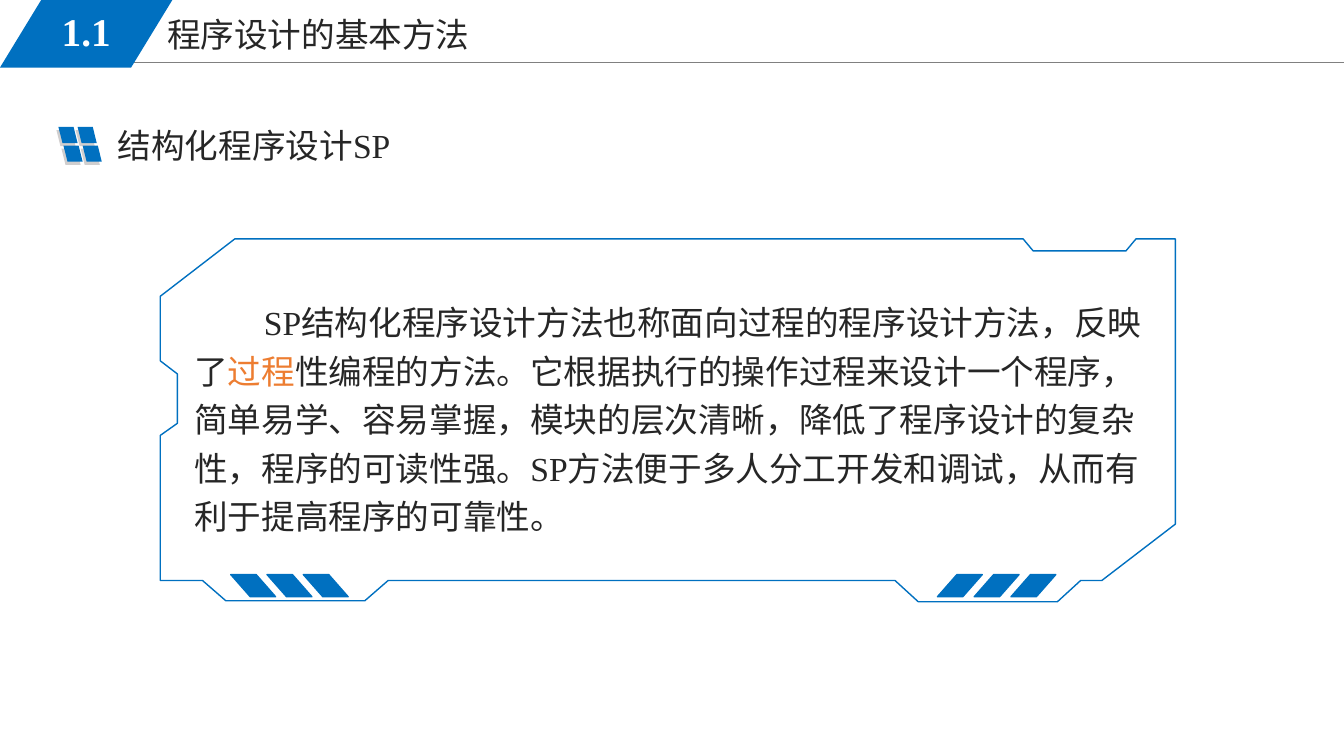
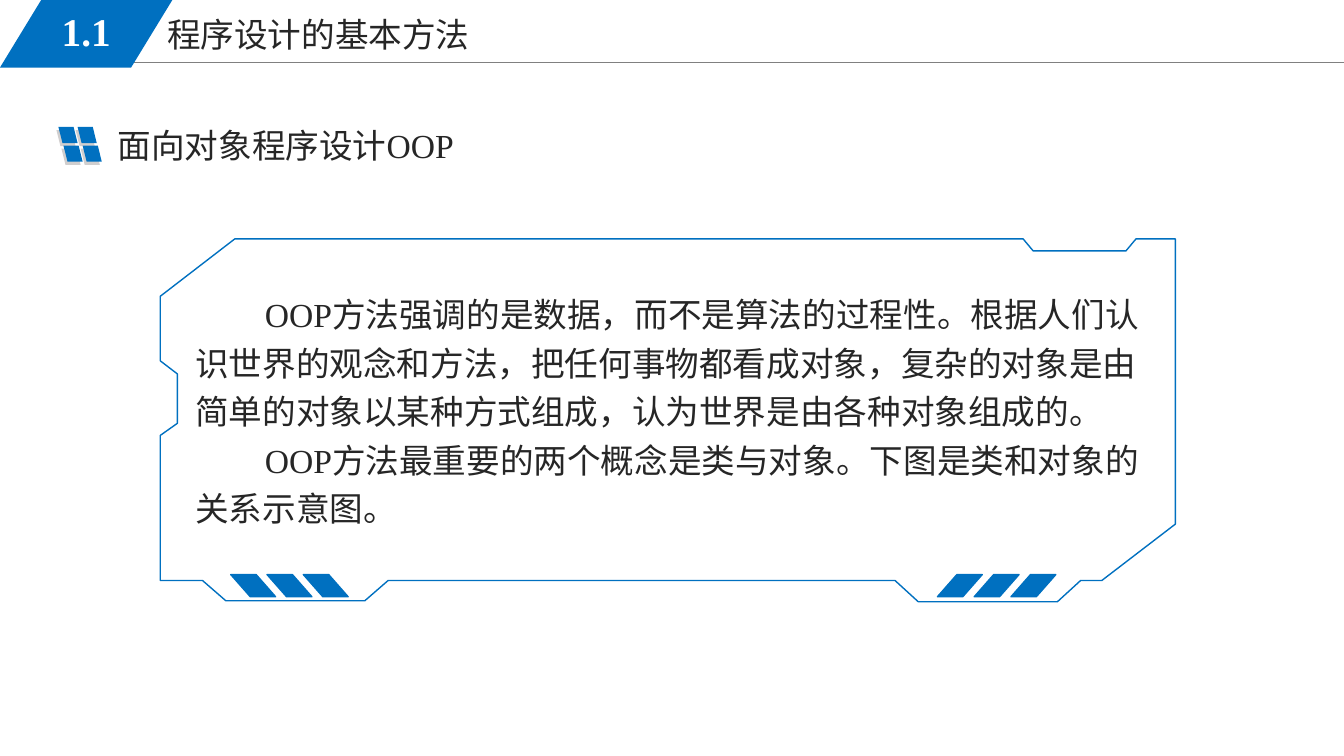
from dataclasses import dataclass
from typing import NamedTuple

from lxml import etree
from pptx import Presentation
from pptx.dml.color import RGBColor
from pptx.enum.shapes import MSO_CONNECTOR, MSO_SHAPE
from pptx.enum.text import MSO_ANCHOR, MSO_AUTO_SIZE, PP_ALIGN
from pptx.oxml.ns import qn
from pptx.util import Emu, Inches, Pt

PARALLELOGRAM = MSO_SHAPE.PARALLELOGRAM
STRAIGHT = MSO_CONNECTOR.STRAIGHT
TOP, MIDDLE = MSO_ANCHOR.TOP, MSO_ANCHOR.MIDDLE
LEFT, CENTER = PP_ALIGN.LEFT, PP_ALIGN.CENTER
GROW = MSO_AUTO_SIZE.SHAPE_TO_FIT_TEXT

# The slide is a grid of square cells, 0.1 inch each.
COLUMNS, ROWS = 133.33, 75


@dataclass(frozen=True)
class Theme:
    blue: RGBColor = RGBColor(0x00, 0x70, 0xC0)
    grey: RGBColor = RGBColor(0xD0, 0xCE, 0xCE)
    rule: RGBColor = RGBColor(0x80, 0x80, 0x80)
    ink: RGBColor = RGBColor(0x26, 0x26, 0x26)
    accent: RGBColor = RGBColor(0xED, 0x7D, 0x31)
    white: RGBColor = RGBColor(0xFF, 0xFF, 0xFF)
    latin: str = "Times New Roman"
    chinese: str = "Noto Sans CJK SC"
    text_size: Pt = Pt(24)
    number_size: Pt = Pt(28)
    rule_width: Pt = Pt(0.75)
    outline_width: Pt = Pt(1)


THEME = Theme()


class Area(NamedTuple):
    """Left, top, width and height in grid cells."""
    column: float
    row: float
    columns: float
    rows: float


class Span(NamedTuple):
    text: str
    color: RGBColor = THEME.ink


@dataclass(frozen=True)
class Style:
    size: Pt = THEME.text_size
    latin: str = THEME.latin
    bold: bool = False
    align: PP_ALIGN = LEFT
    anchor: MSO_ANCHOR = TOP
    line_spacing: float = 1.0
    indent: float = 0


@dataclass(frozen=True)
class Stripes:
    column: float
    step: float
    mirrored: bool


@dataclass(frozen=True)
class Topic:
    heading: str
    body_area: Area
    paragraphs: list[list[Span]]


HEADING = Style()
SECTION = Style(latin=THEME.chinese)
NUMBER = Style(size=THEME.number_size, bold=True, align=CENTER, anchor=MIDDLE)
BODY = Style(line_spacing=1.2, indent=6.9)

STRIPE_GROUPS = [Stripes(93, 3.65, False), Stripes(22.9, 3.6, True)]
PANEL_CORNERS = [
    (91.1, 59.7), (104.9, 59.7), (107.2, 57.6), (109.3, 57.6), (116.6, 52),
    (116.6, 23.7), (112.7, 23.7), (111.7, 24.9), (102.5, 24.9), (101.5, 23.7),
    (23.3, 23.7), (15.9, 29.4), (15.9, 35.8), (17.6, 37.1), (17.6, 42),
    (15.9, 43.2), (15.9, 57.6), (20.1, 57.6), (22.4, 59.6), (36.2, 59.6),
    (38.5, 57.6), (88.8, 57.6),
]

TOPICS = [
    Topic("结构化程序设计SP", Area(18.3, 28.7, 96.7, 24.8), [[
        Span("SP结构化程序设计方法也称面向过程的程序设计方法，反映了"),
        Span("过程", THEME.accent),
        Span("性编程的方法。它根据执行的操作过程来设计一个程序，简单易学、容易掌握，"
             "模块的层次清晰，降低了程序设计的复杂性，程序的可读性强。"
             "SP方法便于多人分工开发和调试，从而有利于提高程序的可靠性。"),
    ]]),
    Topic("面向对象程序设计OOP", Area(18.4, 27.9, 96.7, 24.8), [
        [Span("OOP方法强调的是数据，而不是算法的过程性。根据人们认识世界的观念和方法，"
              "把任何事物都看成对象，复杂的对象是由简单的对象以某种方式组成，"
              "认为世界是由各种对象组成的。")],
        [Span("OOP方法最重要的两个概念是类与对象。下图是类和对象的关系示意图。")],
    ]),
]


def cells(count: float) -> Emu:
    return Inches(count / 10)


def apply(target, values: dict) -> None:
    for attribute, value in values.items():
        setattr(target, attribute, value)


def add_text(shapes, area: Area, paragraphs: list[list[Span]], style: Style) -> None:
    frame = shapes.add_textbox(*map(cells, area)).text_frame
    apply(frame, {"word_wrap": True, "auto_size": GROW,
                  "vertical_anchor": style.anchor})
    for index, spans in enumerate(paragraphs):
        paragraph = frame.add_paragraph() if index else frame.paragraphs[0]
        apply(paragraph, {"alignment": style.align,
                          "line_spacing": style.line_spacing})
        if style.indent:
            paragraph._p.get_or_add_pPr().set("indent", str(cells(style.indent)))
        for span in spans:
            run = paragraph.add_run()
            run.text = span.text
            apply(run.font, {"size": style.size, "name": style.latin,
                             "bold": style.bold})
            run.font.color.rgb = span.color
            etree.SubElement(run._r.get_or_add_rPr(), qn("a:ea"),
                             typeface=THEME.chinese)


def add_slant(shapes, area: Area, color: RGBColor, slant: float = 0.25,
              mirrored: bool = False, outlined: bool = False) -> None:
    """Add a filled parallelogram; a mirrored one leans to the left."""
    slanted = shapes.add_shape(PARALLELOGRAM, *map(cells, area))
    slanted.adjustments[0] = slant
    slanted.shadow.inherit = False
    slanted.fill.solid()
    slanted.fill.fore_color.rgb = color
    if outlined:
        slanted.line.color.rgb = color
        slanted.line.width = THEME.outline_width
    else:
        slanted.line.fill.background()
    if mirrored:
        slanted._element.spPr.xfrm.set("flipH", "1")


def add_header(shapes) -> None:
    rule = shapes.add_connector(STRAIGHT, *map(cells, (11.3, 6.2, COLUMNS, 6.2)))
    rule.line.color.rgb = THEME.rule
    rule.line.width = THEME.rule_width
    etree.SubElement(rule._element.spPr, qn("a:effectLst"))
    add_text(shapes, Area(15.6, 0.9, 56.7, 5.1), [[Span("程序设计的基本方法")]],
             SECTION)
    add_slant(shapes, Area(0, 0, 17.1, 6.7), THEME.blue, slant=0.61)
    add_text(shapes, Area(2.5, 0.2, 12.1, 5.8), [[Span("1.1", THEME.white)]], NUMBER)


def add_heading(shapes, heading: str) -> None:
    """Add the four-tile mark with its shade, and the heading beside it."""
    group = shapes.add_group_shape().shapes
    for left, top, color in ((5.6, 12.9, THEME.grey), (5.8, 12.6, THEME.blue)):
        for column in range(2):
            for row in range(2):
                tile = Area(left + 1.9 * column + 0.5 * row, top + 1.85 * row,
                            1.9, 1.6)
                add_slant(group, tile, color, mirrored=True)
    add_text(group, Area(10.7, 11.9, 59.9, 5), [[Span(heading)]], HEADING)


def add_panel(shapes) -> None:
    group = shapes.add_group_shape().shapes
    start, *corners = [(cells(x), cells(y)) for x, y in PANEL_CORNERS]
    builder = group.build_freeform(*start)
    builder.add_line_segments(corners, close=True)
    outline = builder.convert_to_shape()
    outline.shadow.inherit = False
    outline.fill.background()
    outline.line.color.rgb = THEME.blue
    outline.line.width = THEME.outline_width
    for stripes in STRIPE_GROUPS:
        for index in range(3):
            area = Area(stripes.column + stripes.step * index, 57, 4.45, 2.2)
            add_slant(group, area, THEME.blue, slant=0.88,
                      mirrored=stripes.mirrored, outlined=True)


def main() -> None:
    deck = Presentation()
    apply(deck, {"slide_width": cells(COLUMNS), "slide_height": cells(ROWS)})
    blank = deck.slide_layouts[6]
    for topic in TOPICS:
        shapes = deck.slides.add_slide(blank).shapes
        add_header(shapes)
        add_heading(shapes, topic.heading)
        add_text(shapes, topic.body_area, topic.paragraphs, BODY)
        add_panel(shapes)
    deck.save("out.pptx")


if __name__ == "__main__":
    main()
